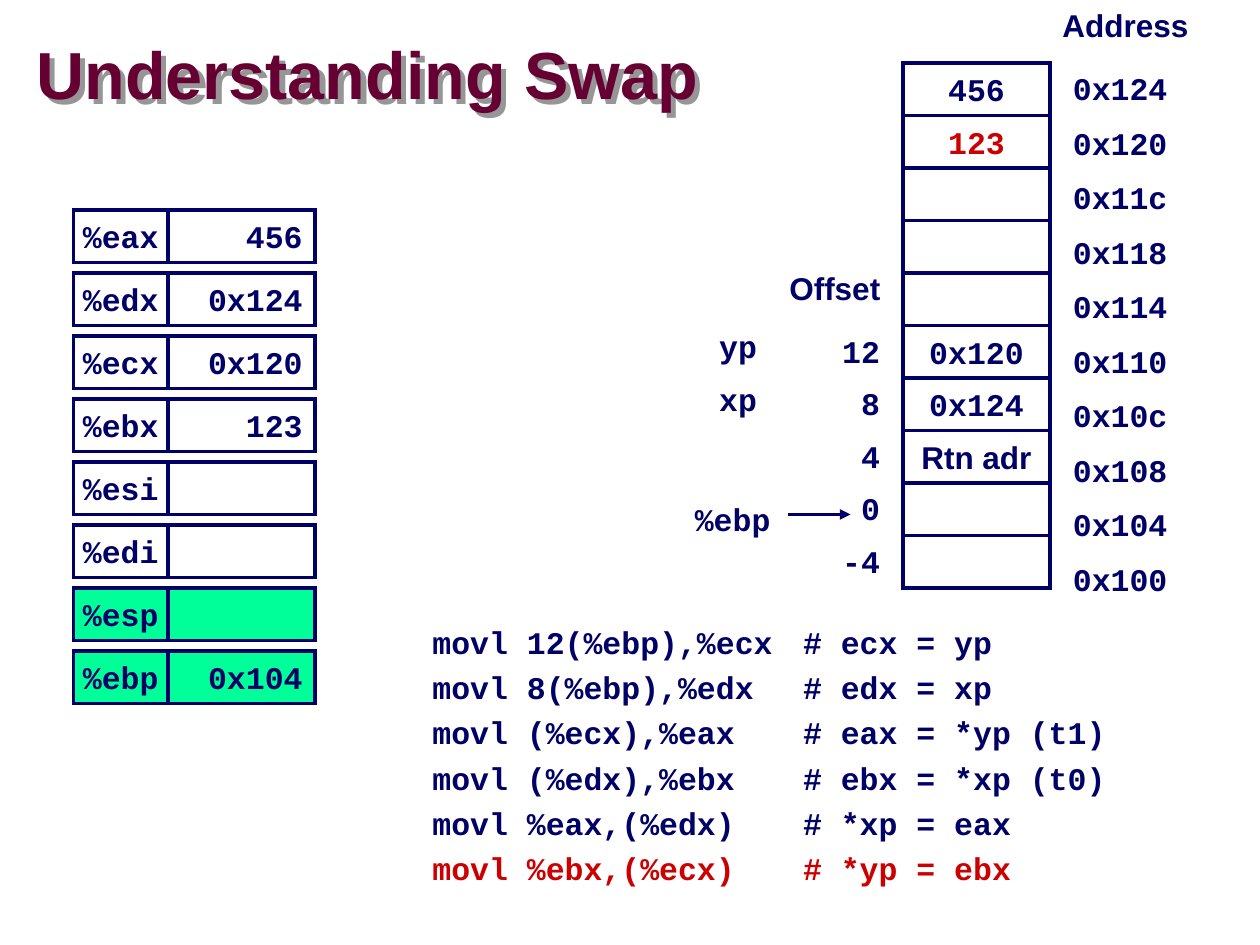
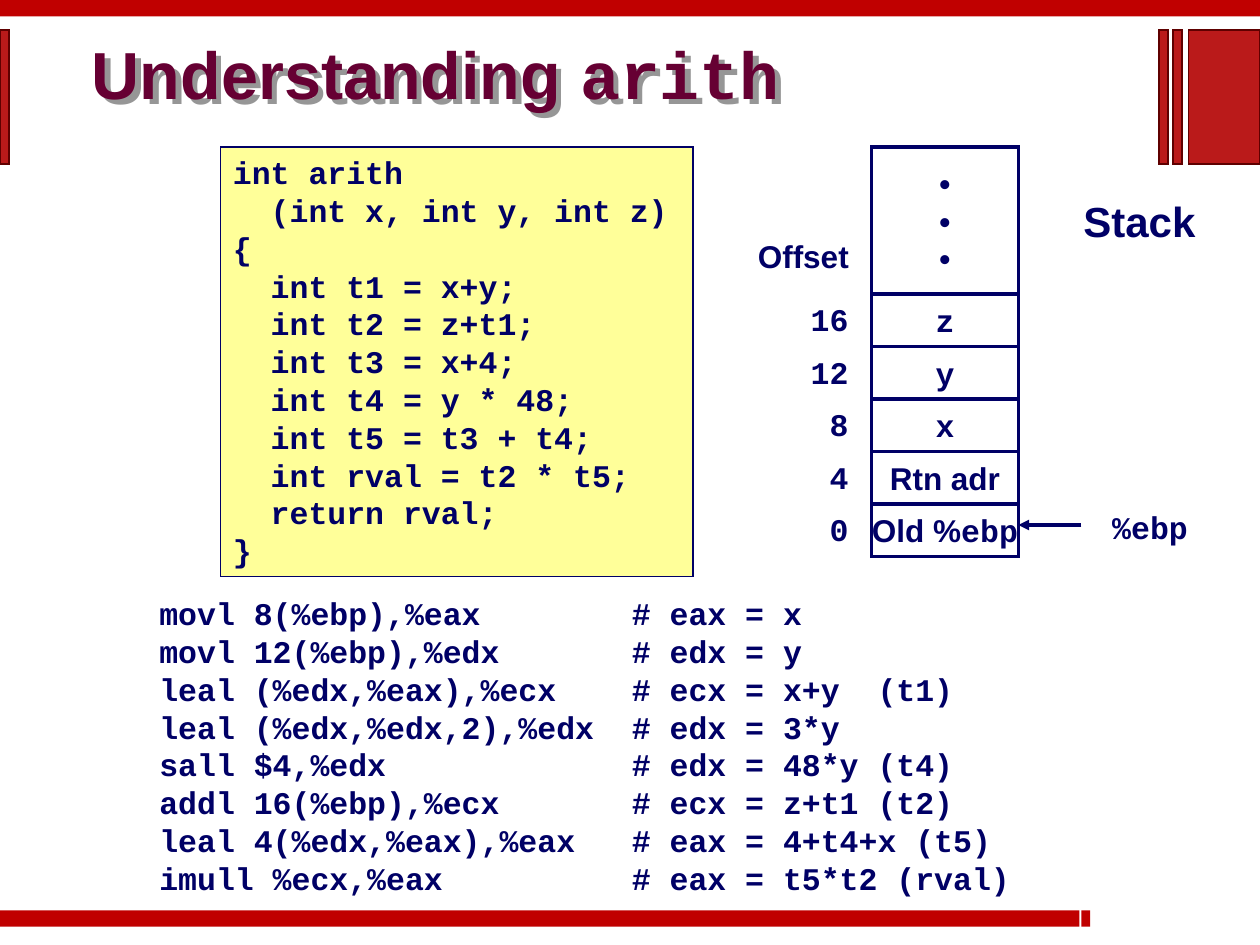
from dataclasses import dataclass

import lxml.etree
import pptx
import pptx.dml.color
import pptx.enum.shapes
import pptx.enum.text
import pptx.oxml.ns
import pptx.util

RGBColor = pptx.dml.color.RGBColor
NAVY = RGBColor(0x00, 0x00, 0x66)
MAROON = RGBColor(0x66, 0x00, 0x33)
RED = RGBColor(0xCC, 0x00, 0x00)
BAND_RED = RGBColor(0xC0, 0x00, 0x00)
BLOCK_RED = RGBColor(0xBA, 0x1A, 0x1A)
BLOCK_EDGE = RGBColor(0x5F, 0x00, 0x00)
GREEN = RGBColor(0x00, 0xFF, 0x99)
YELLOW = RGBColor(0xFF, 0xFF, 0x99)
WHITE = RGBColor(0xFF, 0xFF, 0xFF)
SHADOW_GREY = RGBColor(0x96, 0x96, 0x96)

SANS, MONO = "Arial", "Courier New"
ALIGN = pptx.enum.text.PP_ALIGN
ANCHOR = pptx.enum.text.MSO_ANCHOR

# The slide is a grid of 120 columns by 90 rows.
SLIDE_WIDTH, SLIDE_HEIGHT = pptx.util.Inches(10), pptx.util.Inches(7.5)
COLUMN, ROW = SLIDE_WIDTH / 120, SLIDE_HEIGHT / 90
CELL_COLS, CELL_ROWS = 14, 5
LABEL_ROWS = 4.8
DEFAULT_INSETS = (1.2, 0.6, 1.2, 0.6)


@dataclass(frozen=True)
class Box:
    col: float
    row: float
    cols: float
    rows: float = LABEL_ROWS

    def emu(self) -> tuple[int, int, int, int]:
        return (round(self.col * COLUMN), round(self.row * ROW),
                round(self.cols * COLUMN), round(self.rows * ROW))


@dataclass(frozen=True)
class Span:
    """A piece of text that departs from the font or colour of its box."""
    text: str
    font: str | None = None
    colour: RGBColor | None = None


Line = str | Span | tuple[Span, ...]


@dataclass(frozen=True)
class Register:
    name: str
    value: str = ""
    fill: RGBColor = WHITE


def add_xml(parent, tag: str, **attributes: str):
    child = lxml.etree.SubElement(parent, pptx.oxml.ns.qn(tag))
    for key, value in attributes.items():
        child.set(key, value)
    return child


def write(frame, *lines: Line, font: str = MONO, size: float = 18, colour: RGBColor = NAVY,
          align=ALIGN.LEFT, anchor=ANCHOR.TOP, wrap: bool = False, spacing: float | None = None,
          insets: tuple = DEFAULT_INSETS, tabs: tuple = ()) -> None:
    """Fill a text frame, one paragraph a line; insets and tabs are in columns and rows."""
    frame.word_wrap = wrap
    frame.vertical_anchor = anchor
    frame.margin_left, frame.margin_top, frame.margin_right, frame.margin_bottom = (
        round(inset * COLUMN) for inset in insets)
    for number, line in enumerate(lines):
        paragraph = frame.add_paragraph() if number else frame.paragraphs[0]
        paragraph.alignment = align
        if spacing:
            paragraph.line_spacing = spacing
        if tabs:
            tab_list = add_xml(paragraph._p.get_or_add_pPr(), "a:tabLst")
            for tab in tabs:
                add_xml(tab_list, "a:tab", pos=str(round(tab * COLUMN)), algn="l")
        for part in line if isinstance(line, tuple) else (line,):
            span = part if isinstance(part, Span) else Span(part)
            run = paragraph.add_run()
            run.text = span.text
            run.font.name = span.font or font
            run.font.size = pptx.util.Pt(size)
            run.font.bold = True
            run.font.color.rgb = span.colour or colour


def add_label(slide, box: Box, *lines: Line, **text_format):
    label = slide.shapes.add_textbox(*box.emu())
    write(label.text_frame, *lines, **text_format)
    return label


def add_rect(slide, box: Box, fill: RGBColor = WHITE, edge: RGBColor | None = NAVY,
             edge_width: float = 2):
    rect = slide.shapes.add_shape(pptx.enum.shapes.MSO_SHAPE.RECTANGLE, *box.emu())
    rect.shadow.inherit = False
    rect.fill.solid()
    rect.fill.fore_color.rgb = fill
    if edge is None:
        rect.line.fill.background()
    else:
        rect.line.color.rgb = edge
        rect.line.width = pptx.util.Pt(edge_width)
        add_xml(rect.line._get_or_add_ln(), "a:miter", lim="800000")
    return rect


def add_cell(slide, box: Box, *lines: Line, fill: RGBColor = WHITE, **text_format) -> None:
    cell = add_rect(slide, box, fill)
    if any(lines):
        write(cell.text_frame, *lines, anchor=ANCHOR.MIDDLE,
              **{"align": ALIGN.CENTER, **text_format})


def add_title(slide, box: Box, *spans: Span) -> None:
    title = add_label(slide, box, spans, font=SANS, size=38, colour=MAROON, spacing=0.87,
                      anchor=ANCHOR.MIDDLE, wrap=True, insets=(0, 0, 0, 0))
    effects = add_xml(title._element.spPr, "a:effectLst")
    shadow = add_xml(effects, "a:outerShdw", dist="54000", dir="2700000",
                     algn="ctr", rotWithShape="0")
    add_xml(shadow, "a:srgbClr", val=str(SHADOW_GREY))


def add_arrow(slide, from_col: float, to_col: float, row: float) -> None:
    y = round(row * ROW)
    arrow = slide.shapes.add_connector(pptx.enum.shapes.MSO_CONNECTOR.STRAIGHT,
                                       round(from_col * COLUMN), y, round(to_col * COLUMN), y)
    arrow.line.color.rgb = NAVY
    arrow.line.width = pptx.util.Pt(2)
    add_xml(arrow.line._get_or_add_ln(), "a:tailEnd", type="triangle")
    add_xml(arrow._element.spPr, "a:effectLst")


def add_stack(slide, col: float, row: float, cells: list[Line]) -> None:
    for index, content in enumerate(cells):
        add_cell(slide, Box(col, row + index * CELL_ROWS, CELL_COLS, CELL_ROWS), content)


def add_offsets(slide, stack_col: float, row: float, offsets: list[int]) -> None:
    """Put the offset heading and values to the left of a stack."""
    add_label(slide, Box(stack_col - 12, row - 6, 12), "Offset", font=SANS)
    for index, offset in enumerate(offsets):
        add_label(slide, Box(stack_col - 7, row + index * CELL_ROWS, 7.8), str(offset),
                  align=ALIGN.RIGHT, wrap=True, insets=(0, 0.6, 3, 0.6))


def add_registers(slide, col: float, row: float, registers: list[Register]) -> None:
    name_cols, pitch = 9, 6
    for index, register in enumerate(registers):
        top = row + index * pitch
        add_cell(slide, Box(col, top, name_cols, CELL_ROWS), register.name, fill=register.fill)
        add_cell(slide, Box(col + name_cols, top, CELL_COLS, CELL_ROWS), register.value,
                 fill=register.fill, align=ALIGN.RIGHT)


def add_decoration(slide) -> None:
    bands = [Box(0, 0, 120, 1.56), Box(0, 86.7, 102.8, 1.56), Box(103, 86.7, 0.84, 1.56)]
    blocks = [Box(col, 2.85, cols, 12.75)
              for col, cols in ((0, 0.84), (113.2, 6.8), (111.75, 0.84), (110.4, 0.84))]
    for band in bands:
        add_rect(slide, band, BAND_RED, edge=None)
    for block in blocks:
        add_rect(slide, block, BLOCK_RED, BLOCK_EDGE, 1)


def build_swap(slide) -> None:
    stack_col, stack_row = 86, 6
    return_address = Span("Rtn adr", SANS)
    add_title(slide, Box(3.5, 3.7, 73.4, 7.6), Span("Understanding Swap"))
    add_label(slide, Box(34, 58, 78, 27.1),
              "\tmovl 12(%ebp),%ecx\t# ecx = yp",
              "\tmovl 8(%ebp),%edx\t# edx = xp",
              "\tmovl (%ecx),%eax\t# eax = *yp (t1)",
              "\tmovl (%edx),%ebx\t# ebx = *xp (t0)",
              "\tmovl %eax,(%edx)\t# *xp = eax",
              Span("\tmovl %ebx,(%ecx)\t# *yp = ebx", colour=RED),
              wrap=True, spacing=1.2, tabs=(6, 41.3))
    add_stack(slide, stack_col, stack_row,
              ["456", Span("123", colour=RED), "", "", "", "0x120", "0x124",
               return_address, "", ""])
    add_offsets(slide, stack_col, 31, [12, 8, 4, 0, -4])
    add_label(slide, Box(100, 0, 14.4), "Address", font=SANS)
    for index in range(10):
        add_label(slide, Box(101, stack_row + index * 5.19, 16),
                  f"0x{0x124 - 4 * index:x}", wrap=True)
    for index, pointer in enumerate(["yp", "xp"]):
        add_label(slide, Box(66, 31 + index * CELL_ROWS, 8.6, 4.4), pointer, wrap=True,
                  align=ALIGN.CENTER, spacing=0.9, insets=(0.6, 0.6, 0.6, 0.6))
    add_label(slide, Box(65, 47, 9.6), "%ebp")
    add_arrow(slide, 75, 81, 49)
    add_registers(slide, 7, 20, [
        Register("%eax", "456"),
        Register("%edx", "0x124"),
        Register("%ecx", "0x120"),
        Register("%ebx", "123"),
        Register("%esi"),
        Register("%edi"),
        Register("%esp", fill=GREEN),
        Register("%ebp", "0x104", GREEN),
    ])


def build_arith(slide) -> None:
    stack_col, stack_row = 83, 28
    add_title(slide, Box(8.76, 3.7, 69.2, 7.6), Span("Understanding "), Span("arith", MONO))
    source_code = add_rect(slide, Box(21, 14, 45, 40.9), YELLOW, edge_width=1)
    write(source_code.text_frame,
          "int arith",
          "  (int x, int y, int z)",
          "{",
          "  int t1 = x+y;",
          "  int t2 = z+t1;",
          "  int t3 = x+4;",
          "  int t4 = y * 48;",
          "  int t5 = t3 + t4;",
          "  int rval = t2 * t5;",
          "  return rval;",
          "}", wrap=True)
    add_label(slide, Box(11, 56, 89, 30),
              "\tmovl 8(%ebp),%eax\t# eax = x",
              "\tmovl 12(%ebp),%edx\t# edx = y",
              "\tleal (%edx,%eax),%ecx\t# ecx = x+y  (t1)",
              "\tleal (%edx,%edx,2),%edx\t# edx = 3*y",
              "\tsall $4,%edx\t# edx = 48*y (t4)",
              "\taddl 16(%ebp),%ecx\t# ecx = z+t1 (t2)",
              "\tleal 4(%edx,%eax),%eax\t# eax = 4+t4+x (t5)",
              "\timull %ecx,%eax\t# eax = t5*t2 (rval)",
              wrap=True, tabs=(3, 48))
    add_cell(slide, Box(stack_col, 14, CELL_COLS, 14), "•", "•", "•", font=SANS)
    add_stack(slide, stack_col, stack_row,
              ["z", "y", "x", Span("Rtn adr", SANS), (Span("Old %", SANS), Span("ebp"))])
    add_offsets(slide, stack_col, stack_row, [16, 12, 8, 4, 0])
    add_arrow(slide, 103, 97, 50)
    add_label(slide, Box(104.75, 47.75, 9.6), "%ebp")
    add_label(slide, Box(102, 18, 14, 6), "Stack", font=SANS, size=24)
    add_decoration(slide)


def main() -> None:
    deck = pptx.Presentation()
    deck.slide_width, deck.slide_height = SLIDE_WIDTH, SLIDE_HEIGHT
    blank = deck.slide_layouts[6]
    for build in (build_swap, build_arith):
        build(deck.slides.add_slide(blank))
    deck.save("out.pptx")


if __name__ == "__main__":
    main()
